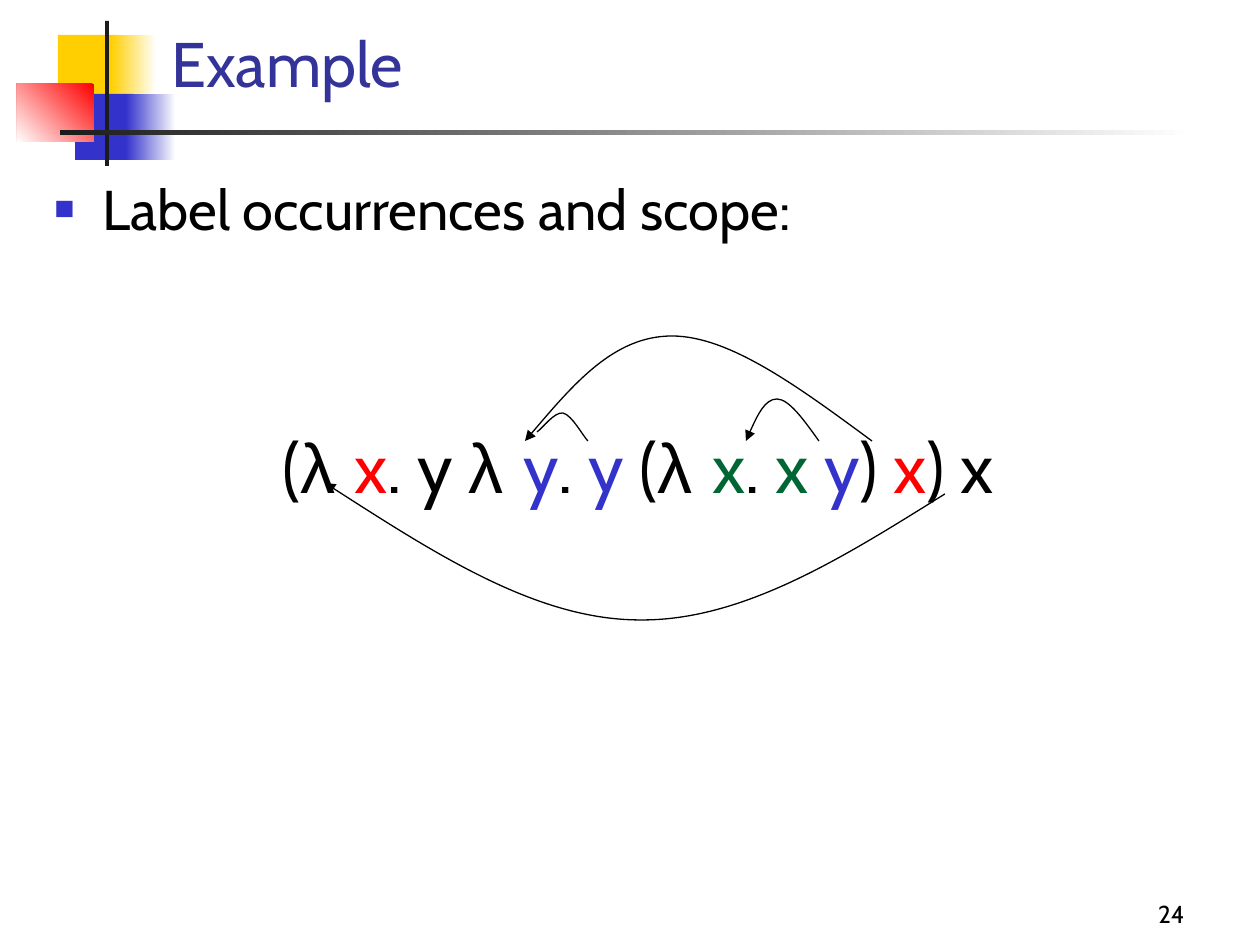
from lxml.etree import SubElement
from pptx import Presentation
from pptx.dml.color import RGBColor
from pptx.enum.shapes import MSO_SHAPE
from pptx.enum.text import MSO_ANCHOR, PP_ALIGN
from pptx.oxml.ns import qn
from pptx.util import Pt

SCALE = 914400 / 126  # EMU per px
BLACK, WHITE, CHARCOAL = "000000", "FFFFFF", "1C1C1C"
YELLOW, BLUE, RED, GREEN, TITLE_BLUE = "FFCF01", "3333CC", "FF0000", "006633", "333399"


def px(length):
    return round(length * SCALE)


def color(code):
    return RGBColor.from_string(code)


class SlideWriter:
    font = "Cabin"
    greek_font = "Arial"

    def __init__(self, slide):
        self.slide = slide

    def block(self, bounds, fill, angle=None):
        """Rectangle, solid or fading to white along the given angle."""
        shape = self.slide.shapes.add_shape(MSO_SHAPE.RECTANGLE, *map(px, bounds))
        shape.shadow.inherit = False
        shape.line.fill.background()
        if angle is None:
            shape.fill.solid()
            shape.fill.fore_color.rgb = color(fill)
            return
        shape.fill.gradient()
        shape.fill.gradient_angle = angle
        for stop, code, position in zip(shape.fill.gradient_stops, (fill, WHITE), (0, 1)):
            stop.color.rgb = color(code)
            stop.position = position

    def text_box(self, bounds, text, size, code=BLACK,
                 anchor=MSO_ANCHOR.BOTTOM, align=PP_ALIGN.LEFT):
        frame = self.slide.shapes.add_textbox(*map(px, bounds)).text_frame
        frame.word_wrap = True
        frame.vertical_anchor = anchor
        frame.text = text
        para = frame.paragraphs[0]
        para.alignment = align
        self.style(para.runs[0], size, code)
        return frame

    def style(self, span, size, code, font=None):
        span.font.name = font or self.font
        span.font.size = Pt(size)
        span.font.color.rgb = color(code)

    def hang(self, para, space_before, indent=48):
        para.space_before = Pt(space_before)
        properties = para._p.get_or_add_pPr()
        properties.set("marL", str(px(indent)))
        properties.set("indent", str(-px(indent)))
        return properties

    def bullet(self, para, symbol, code, percent):
        properties = self.hang(para, 8)
        bullet_color = SubElement(properties, qn("a:buClr"))
        SubElement(bullet_color, qn("a:srgbClr"), val=code)
        SubElement(properties, qn("a:buSzPct"), val=str(percent * 1000))
        SubElement(properties, qn("a:buFont"), typeface="Arial")
        SubElement(properties, qn("a:buChar"), char=symbol)

    def formula(self, frame, parts, size, space_before):
        para = frame.add_paragraph()
        para.alignment = PP_ALIGN.CENTER
        self.hang(para, space_before)
        for text, code in parts:
            span = para.add_run()
            span.text = text
            self.style(span, size, code, self.greek_font if "λ" in text else None)

    def curve(self, points, arrow_end=None):
        """Open curve: a start point, then three Bézier points per segment."""
        builder = self.slide.shapes.build_freeform(*points[0], scale=SCALE)
        builder.add_line_segments(points[1:], close=False)
        shape = builder.convert_to_shape()
        shape.shadow.inherit = False
        shape.fill.background()
        shape.line.color.rgb = color(BLACK)
        shape.line.width = Pt(0.75)
        # Turn each three straight steps into one cubic segment
        outline = next(shape._element.iter(qn("a:path")))
        steps = outline.findall(qn("a:lnTo"))
        for first in range(0, len(steps), 3):
            cubic = SubElement(outline, qn("a:cubicBezTo"))
            for step in steps[first:first + 3]:
                cubic.append(step[0])
                outline.remove(step)
        if arrow_end:
            SubElement(shape.line._get_or_add_ln(), qn(arrow_end), type="triangle")


def main():
    deck = Presentation()
    deck.slide_width, deck.slide_height = px(1260), px(945)
    page = SlideWriter(deck.slides.add_slide(deck.slide_layouts[6]))

    # Corner ornament and title rule
    page.block((58, 35, 60, 66), YELLOW)
    page.block((111, 35, 45, 66), YELLOW, angle=0)
    page.block((75, 94, 58, 66), BLUE)
    page.block((126, 94, 50, 66), BLUE, angle=0)
    page.block((17, 84, 77, 58), RED, angle=225)
    page.block((105, 21, 4, 145), CHARCOAL)
    page.block((60, 130, 1134, 5), CHARCOAL, angle=0)

    # Slide number, title and body
    page.text_box((935, 872, 262, 63), "24", 14, align=PP_ALIGN.RIGHT)
    page.text_box((159, 23, 1074, 83), "Example", 36, TITLE_BLUE)
    body = page.text_box((42, 168, 1192, 677), "Label occurrences and scope:", 32,
                         anchor=MSO_ANCHOR.TOP)
    page.bullet(body.paragraphs[0], "■", BLUE, 60)

    # Lambda term, each variable in the colour of its binder
    term = [
        ("(", BLACK), ("λ ", BLACK), ("x", RED), (". y ", BLACK),
        ("λ ", BLACK), ("y", BLUE), (". ", BLACK), ("y", BLUE), (" (", BLACK),
        ("λ ", BLACK), ("x", GREEN), (". ", BLACK), ("x ", GREEN), ("y", BLUE),
        (") ", BLACK), ("x", RED), (") x", BLACK),
    ]
    page.formula(body, term, 40, space_before=104)

    # Scope arrows between occurrences and binders
    page.curve([(325, 483), (431, 551), (537, 620), (640, 620),
                (743, 621), (844, 557), (945, 494)], "a:headEnd")
    page.curve([(872, 441), (800, 388), (730, 336), (672, 336),
                (614, 336), (570, 388), (525, 441)], "a:tailEnd")
    page.curve([(588, 441), (583, 436), (572, 415), (563, 413),
                (554, 412), (543, 428), (537, 432)])
    page.curve([(819, 441), (804, 420), (789, 399), (777, 399),
                (765, 399), (755, 420), (746, 441)], "a:tailEnd")

    deck.save("out.pptx")


if __name__ == "__main__":
    main()
